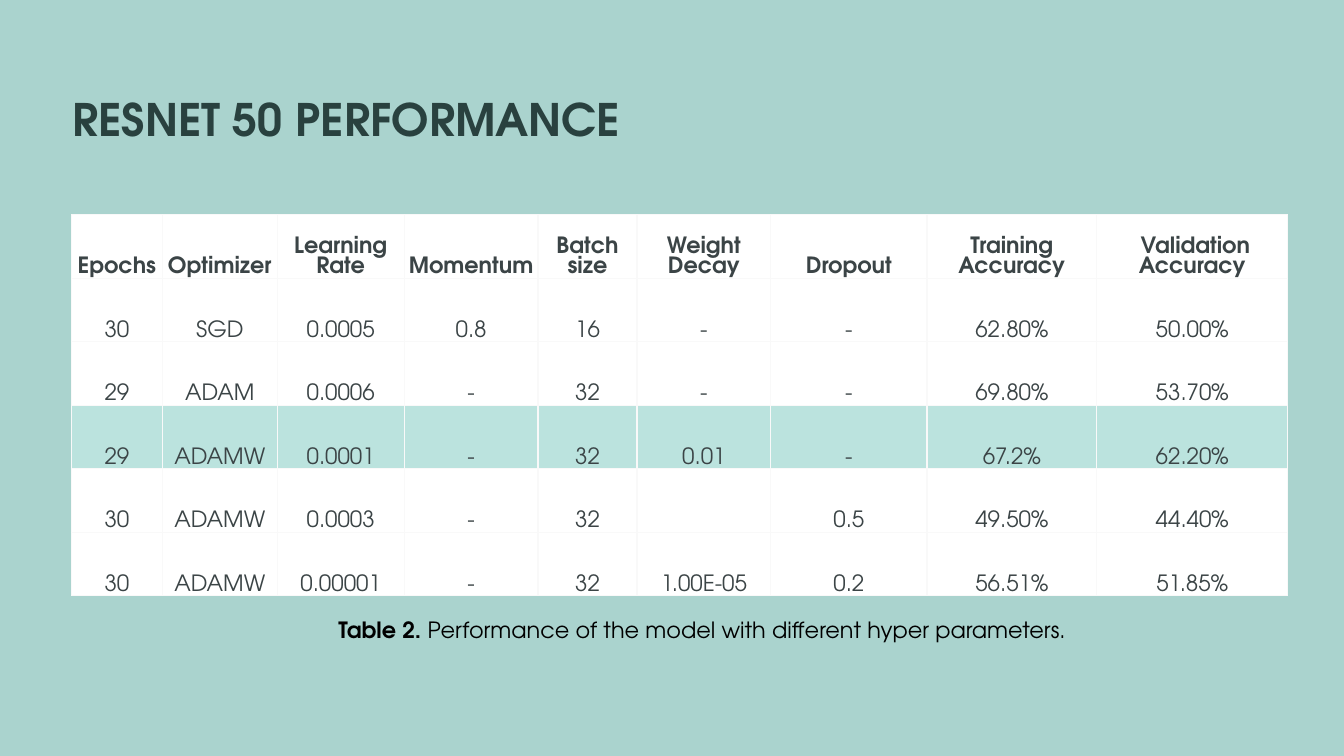
from lxml import etree
from pptx import Presentation
from pptx.dml.color import RGBColor
from pptx.enum.text import MSO_ANCHOR, PP_ALIGN
from pptx.oxml.ns import qn
from pptx.util import Cm, Pt

FONT = "TeX Gyre Adventor"
MINT = RGBColor(0xAA, 0xD3, 0xCE)
PALE = RGBColor(0xBB, 0xE3, 0xDE)
WHITE = RGBColor(0xFF, 0xFF, 0xFF)
RULE = RGBColor(0xF9, 0xF9, 0xF9)
DARK = RGBColor(0x29, 0x41, 0x3F)
SLATE = RGBColor(0x3B, 0x44, 0x46)
BLACK = RGBColor(0, 0, 0)

LEFT, CENTER = PP_ALIGN.LEFT, PP_ALIGN.CENTER
TOP, BOTTOM = MSO_ANCHOR.TOP, MSO_ANCHOR.BOTTOM

WIDTHS = [1.72, 2.17, 2.4, 2.53, 1.87, 2.53, 2.95, 3.21, 3.61]
HEIGHT = 1.2
BEST = 3  # row of the best validation accuracy
ROWS = [
    ["Epochs", "Optimizer", "Learning Rate", "Momentum", "Batch size",
     "Weight Decay", "Dropout", "Training Accuracy", " Validation Accuracy"],
    ["30", "SGD", "0.0005", "0.8", "16", "-", "-", "62.80%", "50.00%"],
    ["29", "ADAM", "0.0006", "-", "32", "-", "-", "69.80%", "53.70%"],
    ["29", "ADAMW", "0.0001", "-", "32", "0.01", "-", "67.2%", "62.20%"],
    ["30", "ADAMW", "0.0003", "-", "32", "", "0.5", "49.50%", "44.40%"],
    ["30", "ADAMW", "0.00001", "-", "32", "1.00E-05", "0.2", "56.51%", "51.85%"],
]


class Deck:
    def __init__(self):
        self.prs = Presentation()
        self.prs.slide_width, self.prs.slide_height = Cm(25.4), Cm(14.29)
        self.slide = self.prs.slides.add_slide(self.prs.slide_layouts[6])
        fill = self.slide.background.fill
        fill.solid()
        fill.fore_color.rgb = MINT

    def style(self, run, size, color, bold):
        font = run.font
        font.name, font.size, font.bold = FONT, Pt(size), bold
        font.color.rgb = color

    def text(self, box, parts, size, color, align=LEFT, anchor=TOP):
        """Add a text box; parts are pairs of wording and boldness."""
        frame = self.slide.shapes.add_textbox(*map(Cm, box)).text_frame
        frame.word_wrap = True
        frame.vertical_anchor = anchor
        if anchor == BOTTOM:
            frame.margin_top = frame.margin_bottom = Cm(0.25)
        para = frame.paragraphs[0]
        para.alignment = align
        for words, bold in parts:
            run = para.add_run()
            run.text = words
            self.style(run, size, color, bold)

    def edge(self, cell):
        """Draw the four borders of a cell, ahead of its fill."""
        props = cell._tc.get_or_add_tcPr()
        for i, side in enumerate(("a:lnL", "a:lnR", "a:lnT", "a:lnB")):
            line = etree.Element(qn(side), w=str(Pt(0.75)))
            solid = etree.SubElement(line, qn("a:solidFill"))
            etree.SubElement(solid, qn("a:srgbClr"), val=str(RULE))
            props.insert(i, line)

    def cell(self, cell, words, fill, bold):
        cell.margin_left = cell.margin_right = cell.margin_top = Cm(0.03)
        cell.margin_bottom = 0
        cell.vertical_anchor = BOTTOM
        cell.fill.solid()
        cell.fill.fore_color.rgb = fill
        self.edge(cell)
        if words:
            cell.text_frame.text = words
            para = cell.text_frame.paragraphs[0]
            para.alignment = CENTER
            self.style(para.runs[0], 12, SLATE, bold)

    def table(self, left, top, rows, widths, height):
        size = Cm(sum(widths)), Cm(height * len(rows))
        table = self.slide.shapes.add_table(
            len(rows), len(widths), Cm(left), Cm(top), *size).table
        table.horz_banding = False
        for col, width in zip(table.columns, widths):
            col.width = Cm(width)
        for r, row in enumerate(rows):
            table.rows[r].height = Cm(height)
            for c, words in enumerate(row):
                fill = PALE if r == BEST else WHITE
                self.cell(table.cell(r, c), words, fill, r == 0)


def main():
    deck = Deck()
    deck.text((1.12, 1.5, 13.89, 1.5), [("RESNET 50 PERFORMANCE", True)],
              24, DARK, anchor=BOTTOM)
    deck.table(1.35, 4.06, ROWS, WIDTHS, HEIGHT)
    deck.text((1.68, 11.53, 23.19, 0.76),
              [("Table 2. ", True),
               ("Performance of the model with different hyper parameters.", False)],
              12, BLACK, CENTER)
    deck.prs.save("out.pptx")


if __name__ == "__main__":
    main()
